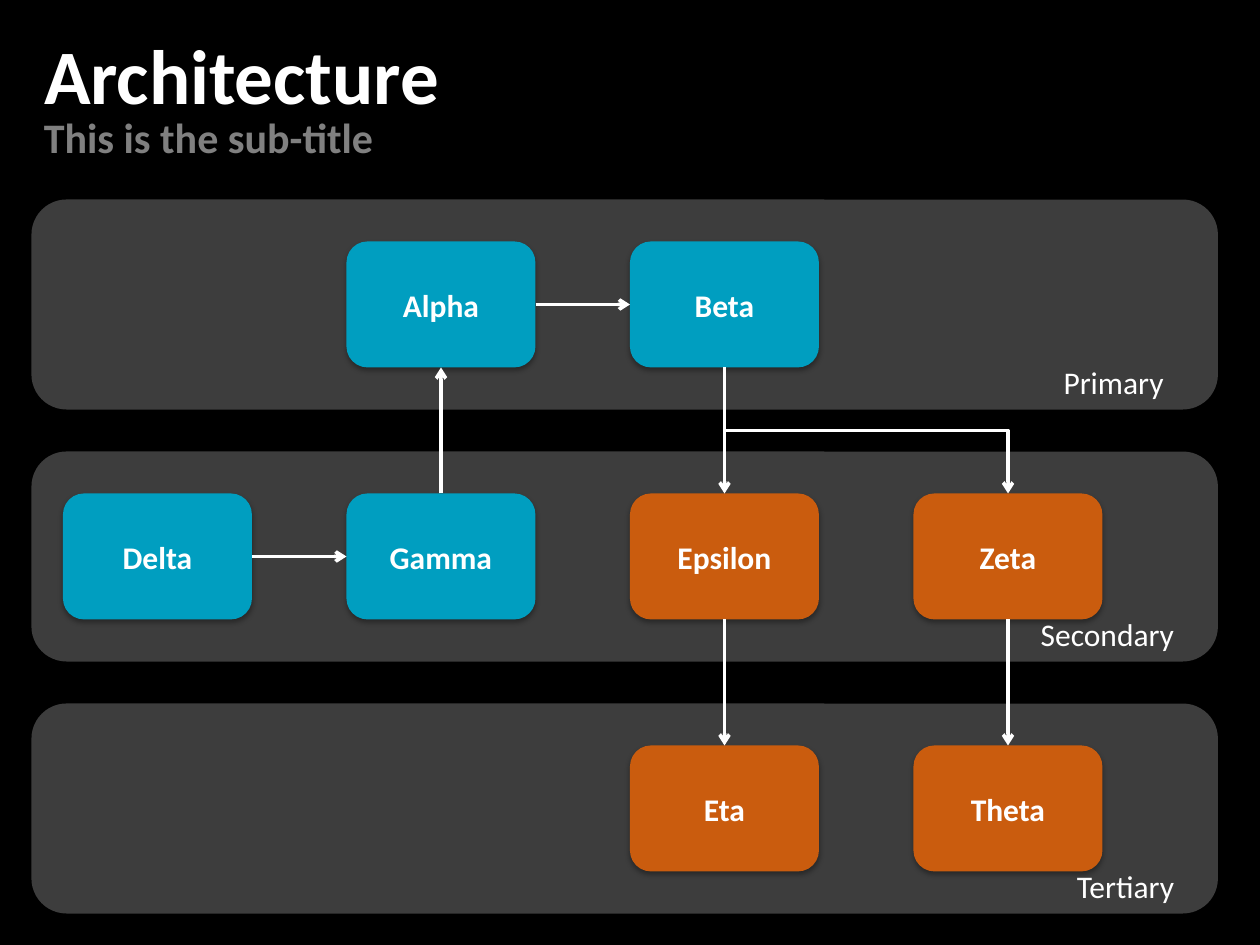
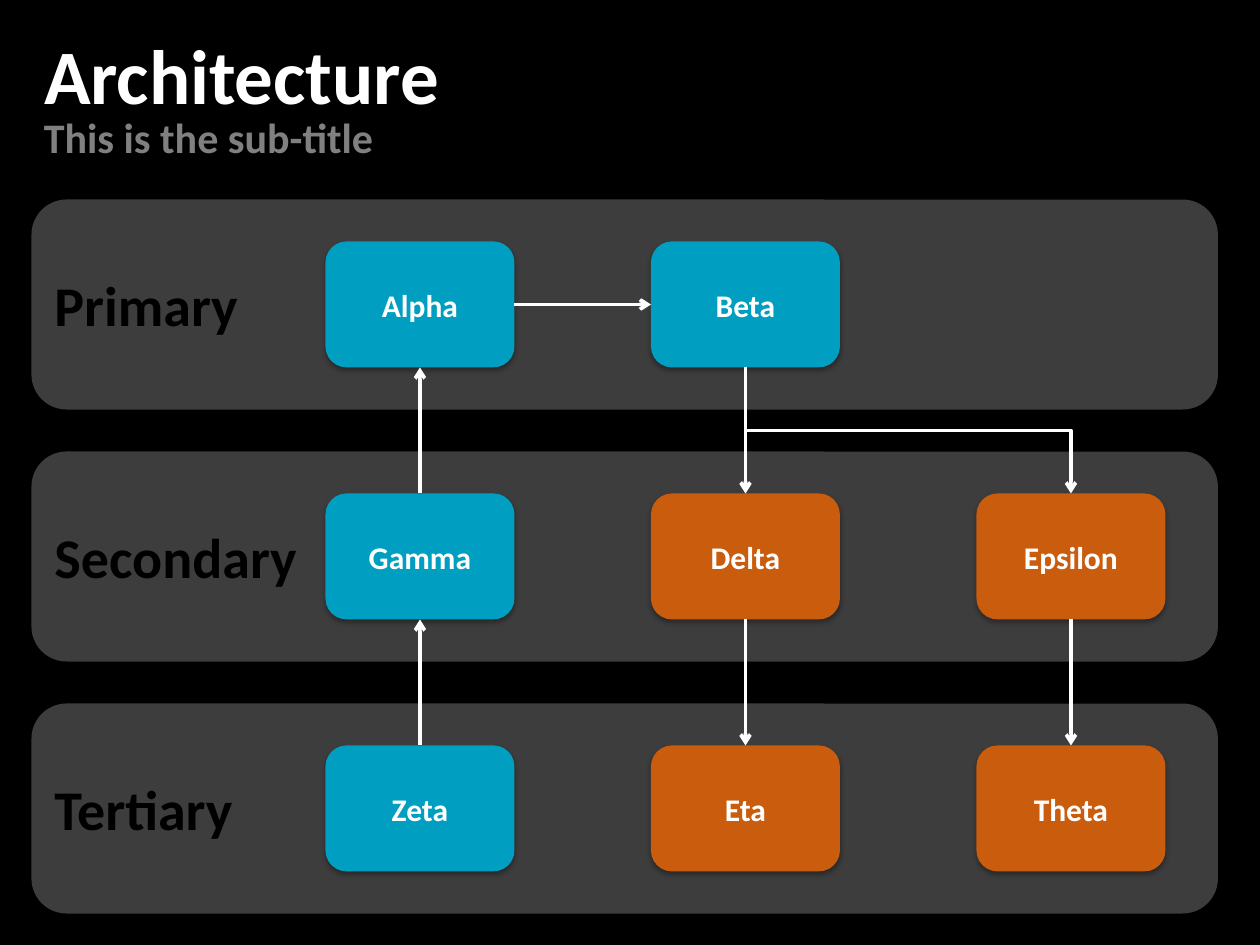
from lxml.etree import SubElement
from pptx import Presentation
from pptx.dml.color import RGBColor
from pptx.enum.shapes import MSO_CONNECTOR as Link, MSO_SHAPE as Preset
from pptx.enum.text import MSO_ANCHOR as Anchor, MSO_AUTO_SIZE as Fit, PP_ALIGN as Align
from pptx.oxml.ns import qn
from pptx.util import Pt

WHITE, BLACK, GREY = "FFFFFF", "000000", "808080"
BLUE, ORANGE = "009EC0", "CA5C0E"
TOP, LEFT, BOTTOM, RIGHT = range(4)  # connection sites

MARGIN, FULL_WIDTH = 18, 678
BAND_TOP, BAND_HEIGHT, ROW_PITCH = 114, 120, 144
NODE_WIDTH, NODE_HEIGHT, NODE_INSET = 108, 72, 24


def color(hex_code):
    return RGBColor.from_string(hex_code)


def write(frame, text, size=18, fill=WHITE, bold=True, align=Align.LEFT,
          anchor=Anchor.TOP, fit=Fit.SHAPE_TO_FIT_TEXT):
    """Set the text of a frame with one format."""
    frame.word_wrap = True
    frame.auto_size = fit
    frame.vertical_anchor = anchor
    paragraph = frame.paragraphs[0]
    paragraph.text = text
    paragraph.alignment = align
    font = paragraph.font
    font.name, font.size, font.bold = "Calibri", Pt(size), bold
    font.color.rgb = color(fill)


class Diagram:
    """Style of the architecture slides and the slide being drawn."""

    def __init__(self):
        self.deck = Presentation()
        self.deck.slide_width, self.deck.slide_height = Pt(720), Pt(540)

    def new_slide(self, title, subtitle):
        self.slide = self.deck.slides.add_slide(self.deck.slide_layouts[5])
        self.shapes = self.slide.shapes
        self.nodes = {}
        self.slide.background.fill.solid()
        self.slide.background.fill.fore_color.rgb = color(BLACK)
        heading = self.shapes.title
        heading.left, heading.top = Pt(MARGIN), Pt(12)
        heading.width, heading.height = Pt(FULL_WIDTH), Pt(60.5)
        write(heading.text_frame, title, size=44)
        self.text(self.shapes, subtitle, MARGIN, 60, FULL_WIDTH, 36, size=24, fill=GREY)

    def text(self, parent, text, left, top, width, height, **style):
        box = parent.add_textbox(Pt(left), Pt(top), Pt(width), Pt(height))
        write(box.text_frame, text, **style)

    def panel(self, parent, left, top, width, height, fill, opacity=100):
        """Rounded rectangle with a soft shadow below it."""
        panel = parent.add_shape(Preset.ROUNDED_RECTANGLE,
                                 Pt(left), Pt(top), Pt(width), Pt(height))
        panel.fill.solid()
        panel.fill.fore_color.rgb = color(fill)
        panel.line.fill.background()
        properties = panel.element.spPr
        if opacity < 100:
            tint = properties.find(".//" + qn("a:srgbClr"))
            SubElement(tint, qn("a:alpha"), val=str(opacity * 1000))
        panel.shadow.inherit = False
        shadow = SubElement(properties.find(qn("a:effectLst")), qn("a:outerShdw"),
                            blurRad=str(Pt(3.1)), dist=str(Pt(1.8)), dir="5400000",
                            rotWithShape="0")
        shade = SubElement(shadow, qn("a:srgbClr"), val=BLACK)
        SubElement(shade, qn("a:alpha"), val="35000")
        return panel

    def tier(self, row, name, left, width, offset, height, **style):
        """Band across the slide, grouped with its label."""
        top = BAND_TOP + row * ROW_PITCH
        band = self.shapes.add_group_shape().shapes
        self.panel(band, MARGIN, top, FULL_WIDTH, BAND_HEIGHT, WHITE, opacity=24)
        self.text(band, name, left, top + offset, width, height, **style)

    def node(self, name, row, left, fill):
        top = BAND_TOP + NODE_INSET + row * ROW_PITCH
        node = self.panel(self.shapes, left, top, NODE_WIDTH, NODE_HEIGHT, fill)
        write(node.text_frame, name, align=Align.CENTER, anchor=Anchor.MIDDLE, fit=Fit.NONE)
        self.nodes[name] = node

    def arrow(self, source, exit_side, target, entry_side, kind=Link.STRAIGHT):
        arrow = self.shapes.add_connector(kind, 0, 0, 0, 0)
        arrow.begin_connect(self.nodes[source], exit_side)
        arrow.end_connect(self.nodes[target], entry_side)
        arrow.line.color.rgb = color(WHITE)
        arrow.line.width = Pt(2)
        properties = arrow.element.spPr
        SubElement(properties.find(qn("a:ln")), qn("a:tailEnd"), type="arrow")
        SubElement(properties, qn("a:effectLst"))
        return arrow

    def branch(self, source, target):
        """Elbow that leaves downwards: a quarter turn of the sideways one."""
        elbow = self.arrow(source, BOTTOM, target, TOP, Link.ELBOW)
        across, down = elbow.width, elbow.height
        shift = (across - down) // 2
        elbow.left, elbow.top = elbow.left + shift, elbow.top - shift
        elbow.width, elbow.height = down, across
        elbow.rotation = 270
        elbow.element.spPr.find(qn("a:xfrm")).set("flipH", "1")

    def draw(self, tiers, label_style, first_left, column_pitch, nodes, arrows, branch):
        self.new_slide("Architecture", "This is the sub-title")
        for row, (name, left, width) in enumerate(tiers):
            self.tier(row, name, left, width, **label_style)
        for name, row, column, fill in nodes:
            self.node(name, row, first_left + column * column_pitch, fill)
        for link in arrows:
            self.arrow(*link)
        self.branch(*branch)


def main():
    diagram = Diagram()

    # Tiers named in the lower right corner
    diagram.draw(
        tiers=[("Primary", 600, 72), ("Secondary", 564, 114), ("Tertiary", 564, 114)],
        label_style=dict(offset=90, height=29, bold=False, align=Align.RIGHT),
        first_left=36, column_pitch=162,
        nodes=[("Alpha", 0, 1, BLUE), ("Beta", 0, 2, BLUE),
               ("Delta", 1, 0, BLUE), ("Gamma", 1, 1, BLUE),
               ("Epsilon", 1, 2, ORANGE), ("Zeta", 1, 3, ORANGE),
               ("Eta", 2, 2, ORANGE), ("Theta", 2, 3, ORANGE)],
        arrows=[("Delta", RIGHT, "Gamma", LEFT), ("Gamma", TOP, "Alpha", BOTTOM),
                ("Alpha", RIGHT, "Beta", LEFT), ("Beta", BOTTOM, "Epsilon", TOP),
                ("Epsilon", BOTTOM, "Eta", TOP), ("Zeta", BOTTOM, "Theta", TOP)],
        branch=("Beta", "Zeta"))

    # Tiers named in large type on the left
    diagram.draw(
        tiers=[("Primary", 24, 120), ("Secondary", 24, 156), ("Tertiary", 24, 138)],
        label_style=dict(offset=37, height=46, size=32, fill=BLACK),
        first_left=186, column_pitch=186,
        nodes=[("Alpha", 0, 0, BLUE), ("Beta", 0, 1, BLUE),
               ("Gamma", 1, 0, BLUE), ("Delta", 1, 1, ORANGE), ("Epsilon", 1, 2, ORANGE),
               ("Zeta", 2, 0, BLUE), ("Eta", 2, 1, ORANGE), ("Theta", 2, 2, ORANGE)],
        arrows=[("Zeta", TOP, "Gamma", BOTTOM), ("Gamma", TOP, "Alpha", BOTTOM),
                ("Alpha", RIGHT, "Beta", LEFT), ("Beta", BOTTOM, "Delta", TOP),
                ("Delta", BOTTOM, "Eta", TOP), ("Epsilon", BOTTOM, "Theta", TOP)],
        branch=("Beta", "Epsilon"))

    diagram.deck.save("out.pptx")


if __name__ == "__main__":
    main()
